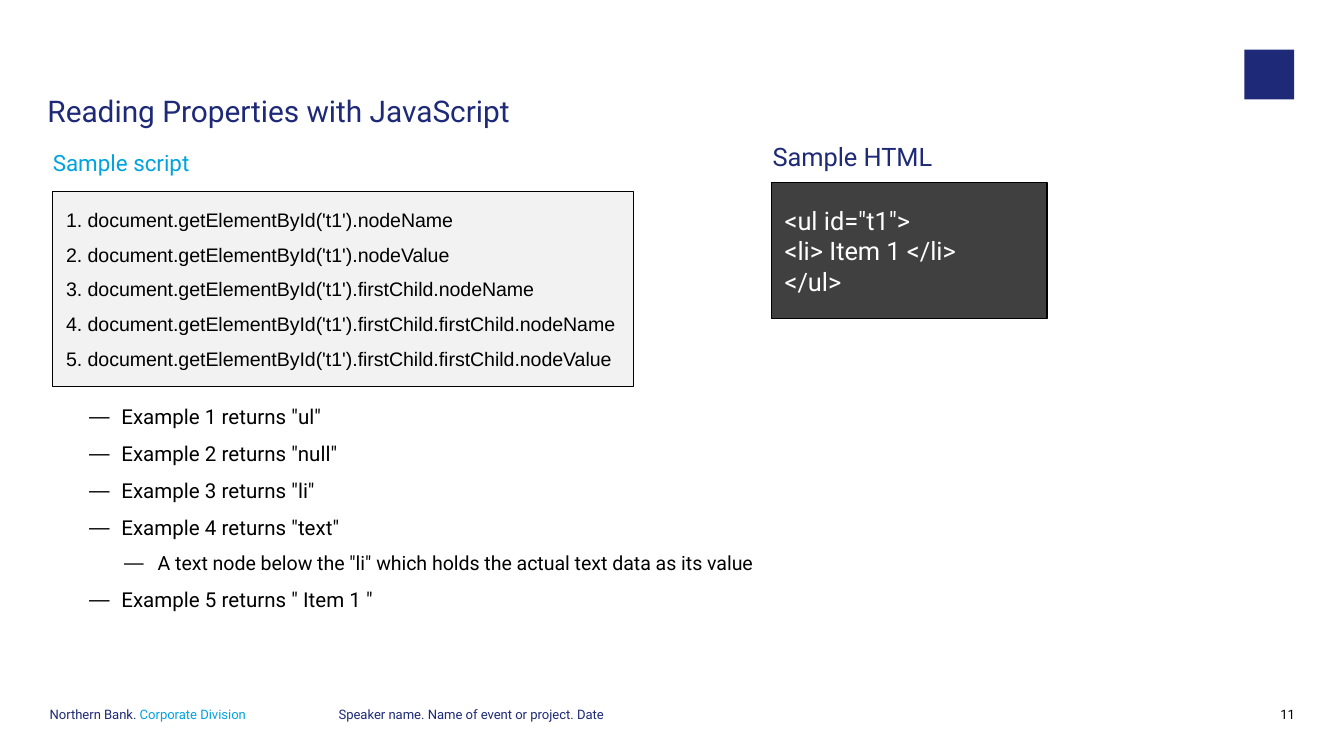
from lxml.etree import SubElement
from pptx import Presentation
from pptx.dml.color import RGBColor
from pptx.enum.shapes import MSO_SHAPE as Shape
from pptx.enum.text import MSO_ANCHOR as Anchor, MSO_AUTO_SIZE as AutoSize, PP_ALIGN as Align
from pptx.oxml.ns import qn
from pptx.util import Inches, Pt

NAVY = RGBColor(0x1E, 0x2A, 0x78)
CYAN = RGBColor(0x00, 0xA3, 0xE0)
BLACK = RGBColor(0x00, 0x00, 0x00)
WHITE = RGBColor(0xFF, 0xFF, 0xFF)
PALE = RGBColor(0xF2, 0xF2, 0xF2)
CHARCOAL = RGBColor(0x40, 0x40, 0x40)

COLUMNS, ROWS = 100, 56.25
MARGIN = 3.93
FOOTER_ROW = 52.6


def write(paragraph, text, size=7, color=NAVY, font="Roboto", align=None,
          spacing=None, before=0, after=0):
    run = paragraph.add_run()
    run.text = text
    run.font.name = font
    run.font.size = Pt(size)
    run.font.color.rgb = color
    paragraph.space_before = Pt(before)
    paragraph.space_after = Pt(after)
    if align is not None:
        paragraph.alignment = align
    if spacing is not None:
        paragraph.line_spacing = spacing


class SlideBuilder:
    def __init__(self, presentation):
        self.column = presentation.slide_width / COLUMNS
        self.row = presentation.slide_height / ROWS
        self.slide = presentation.slides.add_slide(presentation.slide_layouts[1])

    def area(self, left, top, width, height):
        return (round(left * self.column), round(top * self.row),
                round(width * self.column), round(height * self.row))

    def clear_frame(self, shape, inset=0, anchor=Anchor.TOP, wrap=True):
        frame = shape.text_frame
        frame.auto_size = AutoSize.NONE
        frame.word_wrap = wrap
        frame.vertical_anchor = anchor
        frame.margin_left = frame.margin_right = Inches(inset)
        frame.margin_top = frame.margin_bottom = Inches(inset / 2)
        return frame

    def placeholder(self, index, *area):
        shape = self.slide.placeholders[index]
        shape.left, shape.top, shape.width, shape.height = self.area(*area)
        return self.clear_frame(shape)

    def title(self, text, *area):
        frame = self.placeholder(0, *area)
        write(frame.paragraphs[0], text, size=16, align=Align.LEFT, spacing=0.9)

    def body(self, heading, items, *area):
        frame = self.placeholder(1, *area)
        paragraph = frame.paragraphs[0]
        self.bullet(paragraph, 0, 0)
        write(paragraph, heading, size=12, color=CYAN, after=115.5)
        for level, text in items:
            paragraph = frame.add_paragraph()
            paragraph.level = level
            margin, indent, size = {3: (0.51, -0.24, 11), 4: (0.78, -0.25, 10.5)}[level]
            self.bullet(paragraph, margin, indent, "—")
            write(paragraph, text, size=size, color=BLACK, spacing=1.5)

    def bullet(self, paragraph, margin, indent, mark=None):
        properties = paragraph._p.get_or_add_pPr()
        properties.set("marL", str(Inches(margin)))
        properties.set("indent", str(Inches(indent)))
        if mark:
            SubElement(properties, qn("a:buChar")).set("char", mark)
        else:
            SubElement(properties, qn("a:buNone"))

    def label(self, parts, *area, inset=0, **style):
        shape = self.slide.shapes.add_textbox(*self.area(*area))
        paragraph = self.clear_frame(shape, inset).paragraphs[0]
        for text, color in parts:
            write(paragraph, text, color=color, **style)

    def rectangle(self, fill, *area, line=None):
        shape = self.slide.shapes.add_shape(Shape.RECTANGLE, *self.area(*area))
        shape.shadow.inherit = False
        shape.fill.solid()
        shape.fill.fore_color.rgb = fill
        if line is None:
            shape.line.fill.background()
        else:
            shape.line.color.rgb = line
            shape.line.width = Pt(0.75)
        return shape

    def code_box(self, lines, fill, *area, **style):
        shape = self.rectangle(fill, *area, line=BLACK)
        frame = self.clear_frame(shape, 0.1, Anchor.MIDDLE, wrap=False)
        for number, text in enumerate(lines):
            paragraph = frame.add_paragraph() if number else frame.paragraphs[0]
            before = style.get("after", 0) if number else 0
            write(paragraph, text, align=Align.LEFT, before=before, **style)


def main():
    presentation = Presentation()
    presentation.slide_width = Pt(720)
    presentation.slide_height = Pt(405)
    builder = SlideBuilder(presentation)

    builder.title("Reading Properties with JavaScript", 3.53, 7.2, 85.4, 3.9)
    builder.body("Sample script", [
        (3, 'Example 1 returns "ul"'),
        (3, 'Example 2 returns "null"'),
        (3, 'Example 3 returns "li"'),
        (3, 'Example 4 returns "text"'),
        (4, 'A text node below the "li" which holds the actual text data as its value'),
        (3, 'Example 5 returns " Item 1 "'),
    ], MARGIN, 11.1, 82.4, 39.6)

    targets = ["nodeName", "nodeValue", "firstChild.nodeName",
               "firstChild.firstChild.nodeName", "firstChild.firstChild.nodeValue"]
    script = [f"{number}. document.getElementById('t1').{target}"
              for number, target in enumerate(targets, 1)]
    builder.code_box(script, PALE, MARGIN, 14.25, 43.2, 14.5,
                     size=10.5, color=BLACK, font="Arial", after=3)
    builder.code_box(['<ul id="t1">', "<li> Item 1 </li>", "</ul>"], CHARCOAL,
                     57.4, 13.6, 20.5, 10.1, size=13.6, color=WHITE)
    builder.label([("Sample HTML", NAVY)], 56.5, 10.25, 32, 3.1,
                  inset=0.1, size=13.6, spacing=0.9)

    builder.rectangle(NAVY, 92.6, 3.7, 3.7, 3.7)
    builder.label([("Northern Bank. ", NAVY), ("Corporate Division", CYAN)],
                  3.7, FOOTER_ROW, 19.7, 2.6, spacing=Pt(8))
    builder.label([("Speaker name. Name of event or project. Date", NAVY)],
                  25.2, FOOTER_ROW, 49, 2.6, spacing=Pt(8))
    builder.label([("11", BLACK)], 92.6, FOOTER_ROW, 3.75, 2.6,
                  align=Align.RIGHT, spacing=Pt(8))

    presentation.save("out.pptx")


if __name__ == "__main__":
    main()
